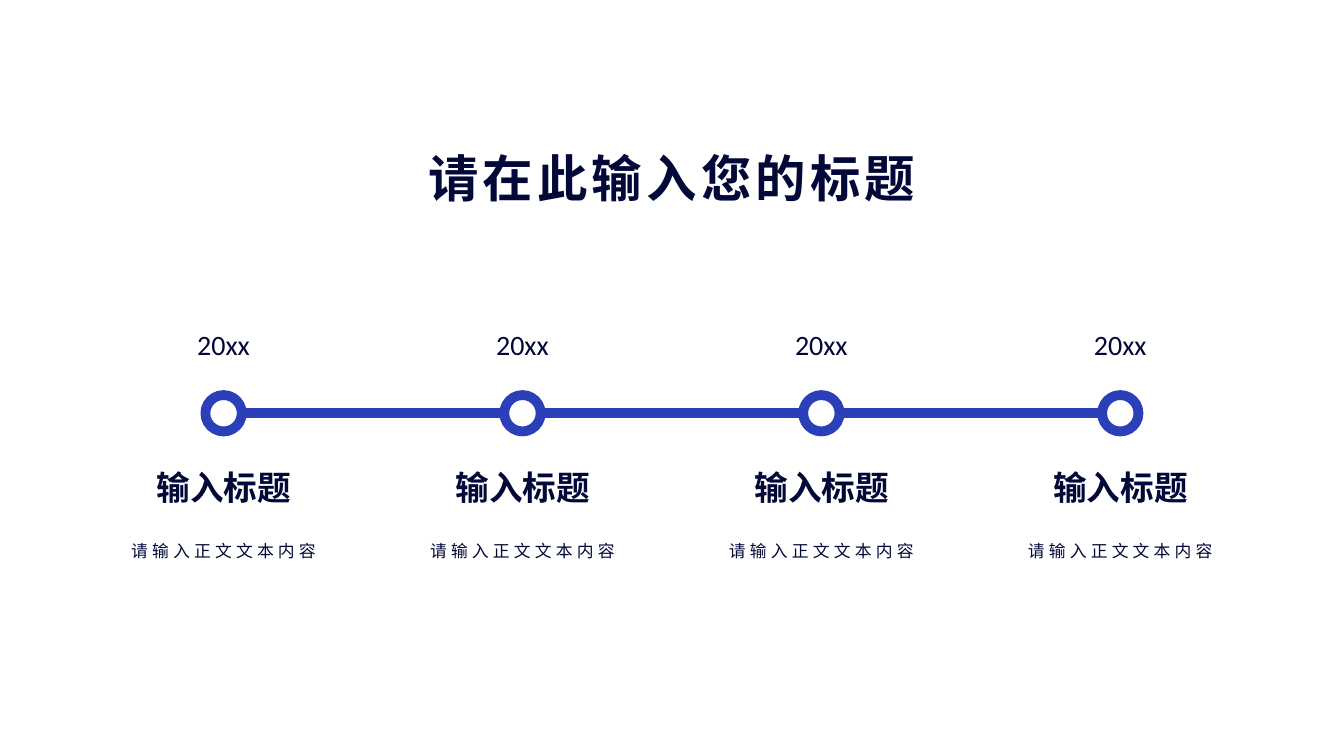
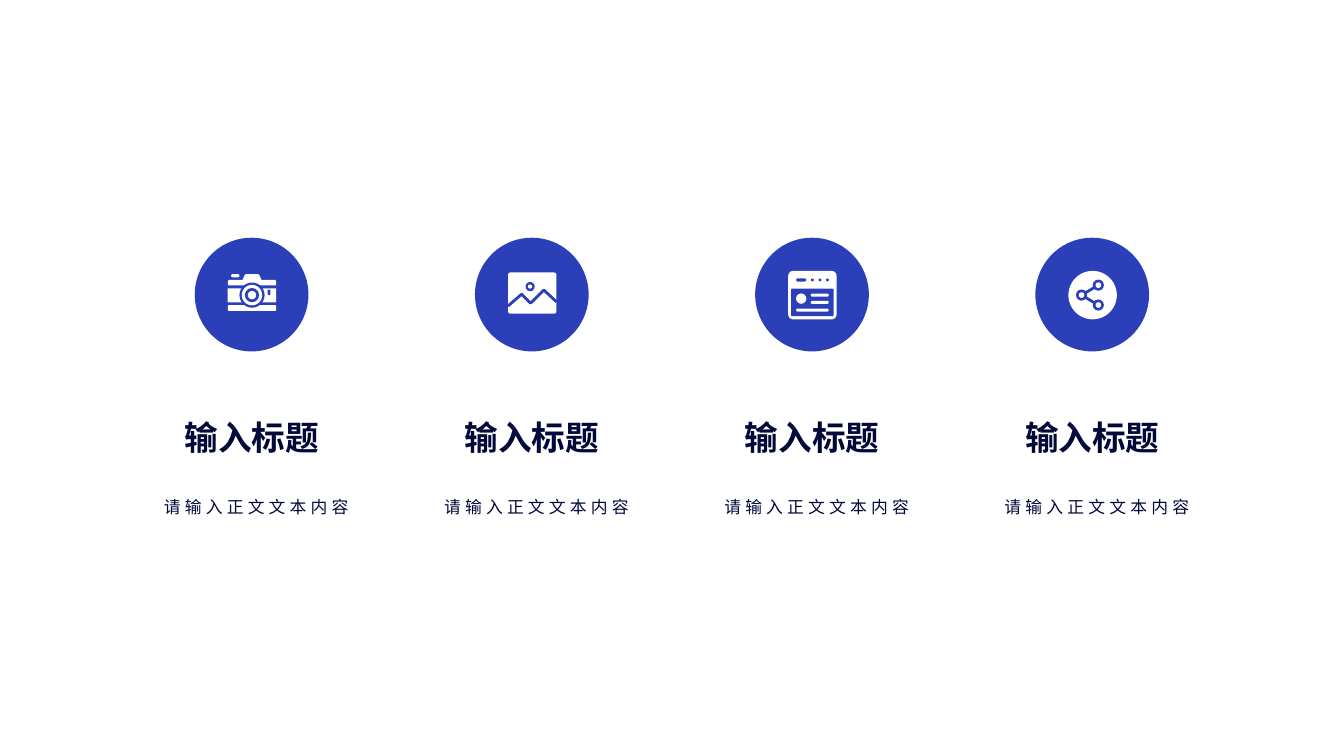
from dataclasses import dataclass

from lxml.etree import SubElement
from pptx import Presentation
from pptx.dml.color import RGBColor
from pptx.enum.lang import MSO_LANGUAGE_ID
from pptx.enum.shapes import MSO_CONNECTOR, MSO_SHAPE
from pptx.enum.text import MSO_AUTO_SIZE, PP_ALIGN
from pptx.oxml.ns import qn
from pptx.util import Pt


@dataclass(frozen=True)
class Theme:
    ink: RGBColor = RGBColor(0x02, 0x08, 0x38)
    accent: RGBColor = RGBColor(0x2B, 0x3F, 0xB8)
    paper: RGBColor = RGBColor(0xFF, 0xFF, 0xFF)
    font: str = "Calibri"
    title: int = 36
    heading: int = 24
    year: int = 20
    body: int = 12
    tracking: int = 3
    track_line: int = 7
    icon_line: int = 2


THEME = Theme()
HEADING = "输入标题"
BODY = "请输入正文文本内容"
COLUMNS = 4


def write(box, text, size, bold=False, tracking=0, line_spacing=None):
    frame = box.text_frame
    frame.word_wrap = True
    frame.auto_size = MSO_AUTO_SIZE.SHAPE_TO_FIT_TEXT
    para = frame.paragraphs[0]
    para.alignment = PP_ALIGN.CENTER
    if line_spacing:
        para.line_spacing = line_spacing
    span = para.add_run()
    span.text = text
    font = span.font
    font.size = Pt(size)
    font.bold = bold
    font.name = THEME.font
    font.color.rgb = THEME.ink
    font.language_id = MSO_LANGUAGE_ID.SIMPLIFIED_CHINESE
    properties = span._r.get_or_add_rPr()
    SubElement(properties, qn("a:ea"), typeface=THEME.font)
    if tracking:
        properties.set("spc", str(tracking * 100))


class Painter:
    def __init__(self, deck, theme):
        self.deck = deck
        self.theme = theme
        self.page = None
        self.origin = (0, 0)

    def new_page(self):
        self.page = self.deck.slides.add_slide(self.deck.slide_layouts[6])
        self.origin = (0, 0)

    def place(self, x, y):
        return Pt(self.origin[0] + x), Pt(self.origin[1] + y)

    def text(self, text, center, top, width, height, **style):
        left, upper = self.place(center - width / 2, top)
        box = self.page.shapes.add_textbox(left, upper, Pt(width), Pt(height))
        write(box, text, **style)

    def heading(self, center, top, width):
        self.text(HEADING, center, top, width, 36, size=self.theme.heading, bold=True)

    def body(self, center, top, width):
        self.text(BODY, center, top, width, 26.6, size=self.theme.body,
                  tracking=self.theme.tracking, line_spacing=1.5)

    def paint(self, shape, fill=None, line=None, weight=0):
        shape.shadow.inherit = False
        if fill is None:
            shape.fill.background()
        else:
            shape.fill.solid()
            shape.fill.fore_color.rgb = fill
        if line is None:
            shape.line.fill.background()
        else:
            shape.line.color.rgb = line
            shape.line.width = Pt(weight)

    def disc(self, x, y, radius, fill, **outline):
        left, top = self.place(x - radius, y - radius)
        size = Pt(2 * radius)
        shape = self.page.shapes.add_shape(MSO_SHAPE.OVAL, left, top, size, size)
        self.paint(shape, fill, **outline)

    def bar(self, x, y, width, height, fill, corner=0.5):
        kind = MSO_SHAPE.ROUNDED_RECTANGLE if corner else MSO_SHAPE.RECTANGLE
        left, top = self.place(x, y)
        shape = self.page.shapes.add_shape(kind, left, top, Pt(width), Pt(height))
        if corner:
            shape.adjustments[0] = corner
        self.paint(shape, fill)

    def outline(self, points, close=True, **style):
        places = [self.place(x, y) for x, y in points]
        builder = self.page.shapes.build_freeform(*places[0])
        builder.add_line_segments(places[1:], close=close)
        self.paint(builder.convert_to_shape(), **style)

    def link(self, start, end, weight):
        connector = self.page.shapes.add_connector(
            MSO_CONNECTOR.STRAIGHT, *self.place(*start), *self.place(*end))
        connector.line.color.rgb = self.theme.accent
        connector.line.width = Pt(weight)
        SubElement(connector._element.spPr, qn("a:effectLst"))


def camera_icon(painter):
    paper, accent = painter.theme.paper, painter.theme.accent
    half = [(4.4, -15), (5.2, -14.3), (6.8, -10.8), (16.5, -10.8), (17.3, -10), (17.3, -7)]
    painter.outline([(-x, y) for x, y in reversed(half)] + half, fill=paper)
    for left in (-17.3, 7.2):
        painter.bar(left, -4.8, 10.1, 10, paper, corner=0)
    painter.bar(-17.3, 7.2, 34.6, 4, paper, corner=0.15)
    painter.bar(-14.9, -15, 6, 2.3, paper)
    for radius, fill in ((9, accent), (7.3, paper), (5.1, accent), (3, paper)):
        painter.disc(0, 0, radius, fill)
    painter.bar(11.1, -4, 2, 4, accent)


def photo_icon(painter):
    paper, accent = painter.theme.paper, painter.theme.accent
    painter.bar(-17.3, -16.2, 34.6, 29.5, paper, corner=0.06)
    painter.disc(-1.5, -6.1, 3.3, accent)
    painter.disc(-1.5, -6.1, 1.5, paper)
    ridge = [(-17.3, 7.8), (-7.6, -0.6), (-1.2, 5.8), (8.3, -3.6), (17.3, 4.8)]
    painter.outline(ridge, close=False, line=accent, weight=painter.theme.icon_line)


def window_icon(painter):
    paper, accent = painter.theme.paper, painter.theme.accent
    painter.bar(-17.3, -17.3, 34.6, 34.6, paper, corner=0.1)
    painter.bar(-15.2, -4.6, 30.4, 19.6, accent, corner=0.04)
    painter.bar(-11.6, -11.9, 7.2, 2.2, accent)
    for dot in range(3):
        painter.disc(5.35 * dot, -10.8, 1, accent)
    painter.disc(-8, 2.5, 3.7, paper)
    for left, top in ((-1.2, -1.1), (-1.2, 4.1), (-11.6, 9.6)):
        painter.bar(left, top, 11.7 - left, 2.2, paper)


def share_icon(painter):
    paper, accent = painter.theme.paper, painter.theme.accent
    hub, leaves = (-7.9, 0), [(4.1, -7.1), (4.1, 7.1)]
    painter.disc(0, 0, 17.3, paper)
    for leaf in leaves:
        painter.link(hub, leaf, painter.theme.icon_line)
    for node in (hub, *leaves):
        painter.disc(*node, 4, accent)
        painter.disc(*node, 2, paper)


def timeline_page(painter):
    theme = painter.theme
    first, step, axis, radius = 159.7, 213.5, 295.2, 13
    centers = [first + step * column for column in range(COLUMNS)]
    painter.new_page()
    painter.text("请在此输入您的标题", 480, 101.5, 569, 51, size=theme.title,
                 bold=True, tracking=theme.tracking)
    painter.link((centers[0] + radius, axis), (centers[-1] - radius, axis), theme.track_line)
    for center in centers:
        painter.text("20xx", center, 230.4, 145, 31.7, size=theme.year)
        painter.disc(center, axis, radius, theme.paper,
                     line=theme.accent, weight=theme.track_line)
        painter.heading(center + 0.2, 330, 195)
        painter.body(center, 375.8, 195)


def icons_page(painter):
    first, step, middle, radius = 179.7, 200.15, 210.4, 40.6
    painter.new_page()
    for column, icon in enumerate((camera_icon, photo_icon, window_icon, share_icon)):
        center = first + step * column
        painter.origin = (0, 0)
        painter.disc(center, middle, radius, painter.theme.accent)
        painter.heading(center + 0.1, 294.5, 174)
        painter.body(center + 3.4, 343.8, 160)
        painter.origin = (center + 0.3, middle + 0.4)
        icon(painter)


def main():
    deck = Presentation()
    deck.slide_width, deck.slide_height = Pt(960), Pt(540)
    painter = Painter(deck, THEME)
    timeline_page(painter)
    icons_page(painter)
    deck.save("out.pptx")


if __name__ == "__main__":
    main()
